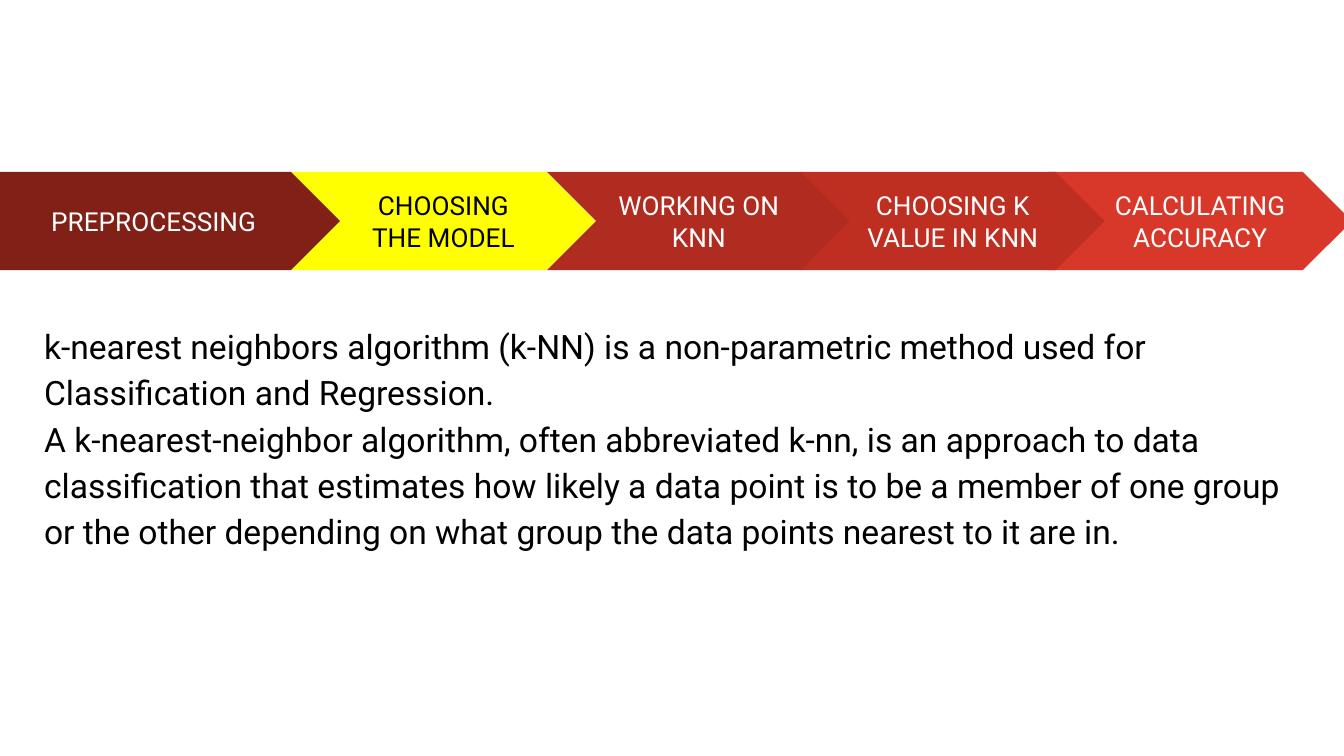
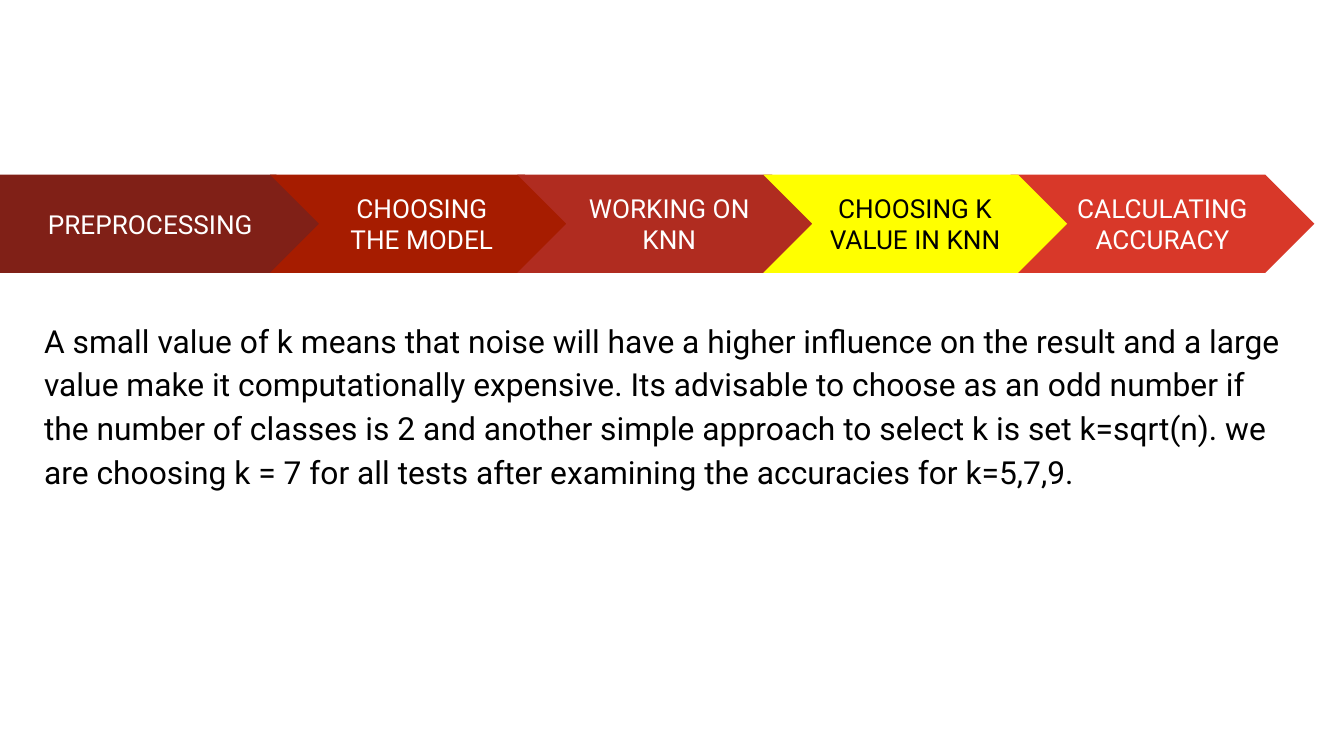
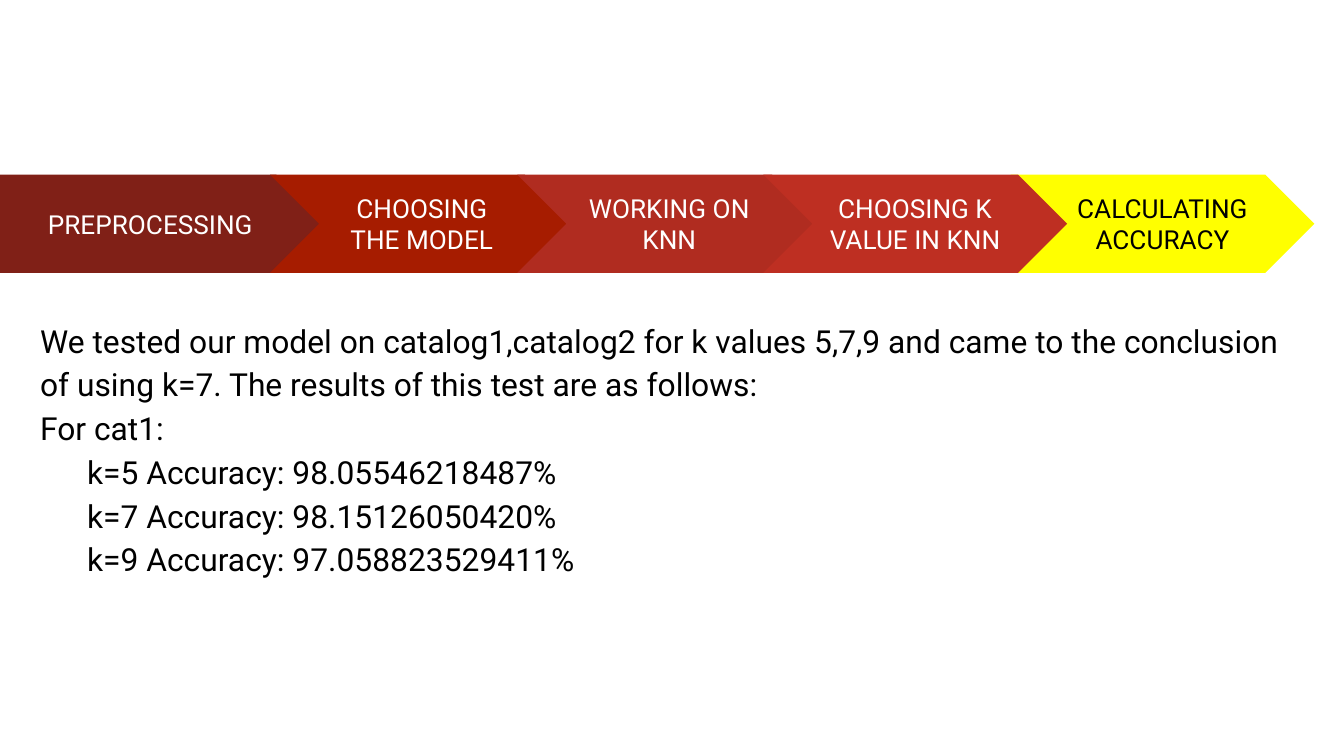
from pptx import Presentation
from pptx.dml.color import RGBColor
from pptx.enum.shapes import MSO_SHAPE
from pptx.enum.text import MSO_ANCHOR, PP_ALIGN
from pptx.util import Inches, Pt

COLORS = {
    "preprocessing": "802017",
    "model": "A61C00",
    "working": "B02C20",
    "k_value": "BE2F22",
    "accuracy": "D83829",
    "current": "FFFF00",
    "light": "FFFFFF",
    "dark": "000000",
}
FONT = "Roboto"
MARGIN = Inches(0.1)
BAND_HEIGHT = 0.73
CHEVRON_WIDTH = 2.26
RESULT_INDENT = 0.35

# Drawing order: the tip of "k_value" lies over "accuracy".
STEPS = {
    "preprocessing": "PREPROCESSING",
    "model": "CHOOSING THE MODEL",
    "working": "WORKING ON KNN",
    "accuracy": "CALCULATING ACCURACY",
    "k_value": "CHOOSING K VALUE IN KNN",
}

WIDE_BAND = {
    "top": 1.28,
    "first_width": 2.59,
    "lefts": {"preprocessing": -0.06, "model": 2.17, "working": 4.07,
              "k_value": 5.96, "accuracy": 7.8},
}
NARROW_BAND = {
    "top": 1.3,
    "first_width": 2.42,
    "lefts": {"preprocessing": 0, "model": 2.01, "working": 3.85,
              "k_value": 5.68, "accuracy": 7.52},
}

SLIDES = [
    {
        "current": "model",
        "current_label": "CHOOSING THE MODEL",
        "band": WIDE_BAND,
        "body_box": (0.23, 2.28, 9.43, 3.1),
        "body_size": 18,
        "body": [
            "k-nearest neighbors algorithm (k-NN) is a non-parametric method used for "
            "Classification and Regression.",
            "A k-nearest-neighbor algorithm, often abbreviated k-nn, is an approach to data "
            "classification that estimates how likely a data point is to be a member of one "
            "group or the other depending on what group the data points nearest to it are in.",
        ],
        "results": [],
    },
    {
        "current": "k_value",
        "current_label": "CHOOSING K\nVALUE IN KNN",
        "band": NARROW_BAND,
        "body_box": (0.23, 2.25, 9.4, 2.57),
        "body_size": 17,
        "body": [
            "A small value of k means that noise will have a higher influence on the result "
            "and a large value make it computationally expensive. Its advisable to choose as "
            "an odd number if the number of classes is 2 and another simple approach to "
            "select k is set k=sqrt(n). we are choosing k = 7 for all tests after examining "
            "the accuracies for k=5,7,9.",
        ],
        "results": [],
    },
    {
        "current": "accuracy",
        "current_label": "CALCULATING ACCURACY",
        "band": NARROW_BAND,
        "body_box": (0.2, 2.25, 9.43, 2.57),
        "body_size": 17,
        "body": [
            "We tested our model on catalog1,catalog2 for k values 5,7,9 and came to the "
            "conclusion of using k=7. The results of this test are as follows:",
            "For cat1:",
        ],
        "results": [
            "k=5 Accuracy: 98.05546218487%",
            "k=7 Accuracy: 98.15126050420%",
            "k=9 Accuracy: 97.058823529411%",
        ],
    },
]


def rgb(name):
    return RGBColor.from_string(COLORS[name])


def set_margins(frame):
    frame.word_wrap = True
    frame.margin_left = frame.margin_right = MARGIN
    frame.margin_top = frame.margin_bottom = MARGIN


def style(paragraph, size, color):
    paragraph.font.name = FONT
    paragraph.font.size = Pt(size)
    paragraph.font.color.rgb = rgb(color)


def add_band(slide, band, current, current_label):
    """Draw the five process steps with the current one highlighted."""
    for step, label in STEPS.items():
        is_first = step == "preprocessing"
        is_current = step == current
        arrow = slide.shapes.add_shape(
            MSO_SHAPE.PENTAGON if is_first else MSO_SHAPE.CHEVRON,
            Inches(band["lefts"][step]), Inches(band["top"]),
            Inches(band["first_width"] if is_first else CHEVRON_WIDTH),
            Inches(BAND_HEIGHT))
        arrow.shadow.inherit = False
        arrow.fill.solid()
        arrow.fill.fore_color.rgb = rgb("current" if is_current else step)
        arrow.line.fill.background()
        frame = arrow.text_frame
        set_margins(frame)
        frame.vertical_anchor = MSO_ANCHOR.MIDDLE
        frame.text = current_label if is_current else label
        for paragraph in frame.paragraphs:
            paragraph.alignment = PP_ALIGN.CENTER
            style(paragraph, 14, "dark" if is_current else "light")


def add_body(slide, box, size, body, results):
    """Write the explanation, with any results indented below it."""
    frame = slide.shapes.add_textbox(*map(Inches, box)).text_frame
    set_margins(frame)
    frame.text = "\n".join(body + results)
    for index, paragraph in enumerate(frame.paragraphs):
        paragraph.line_spacing = 1.15
        style(paragraph, size, "dark")
        if index >= len(body):
            paragraph._p.get_or_add_pPr().set("marL", str(Inches(RESULT_INDENT)))


def main():
    deck = Presentation()
    deck.slide_width = Inches(10)
    deck.slide_height = deck.slide_width * 9 // 16
    blank = deck.slide_layouts[6]
    for content in SLIDES:
        slide = deck.slides.add_slide(blank)
        add_band(slide, content["band"], content["current"], content["current_label"])
        add_body(slide, content["body_box"], content["body_size"],
                 content["body"], content["results"])
    deck.save("out.pptx")


if __name__ == "__main__":
    main()
